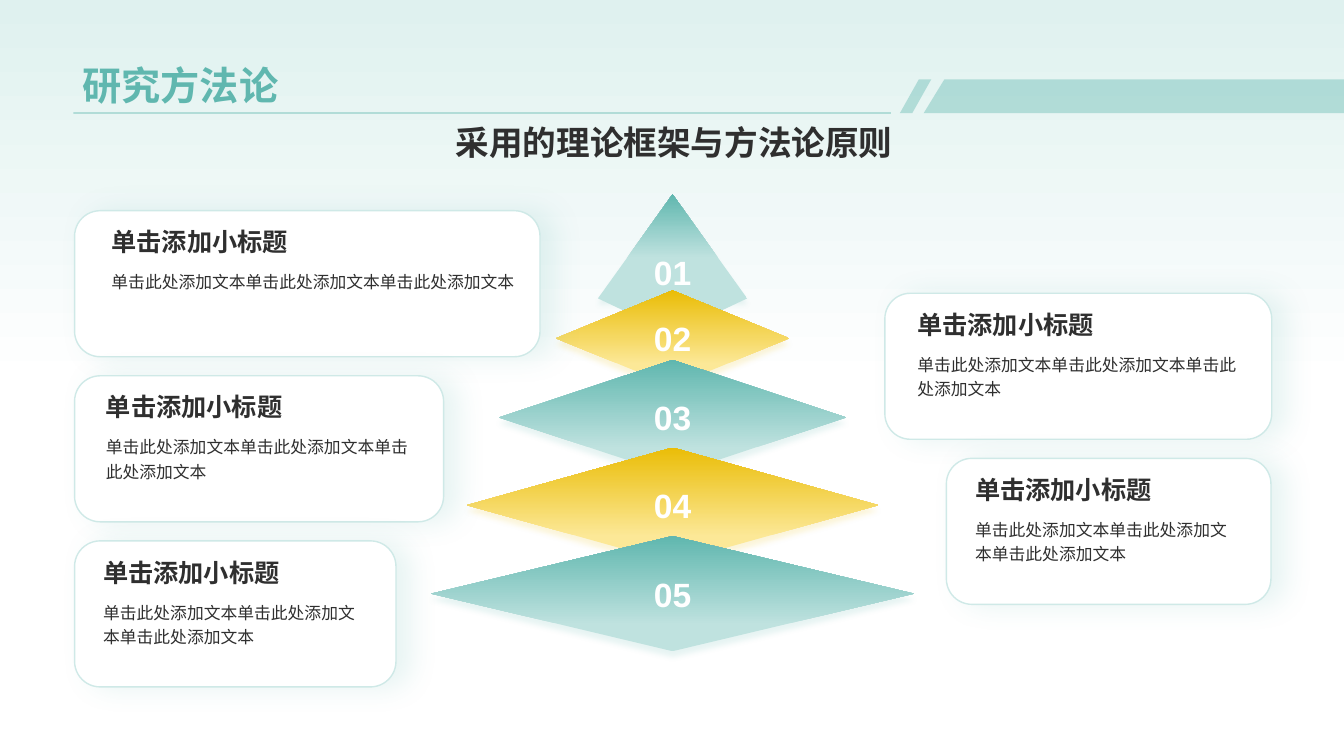
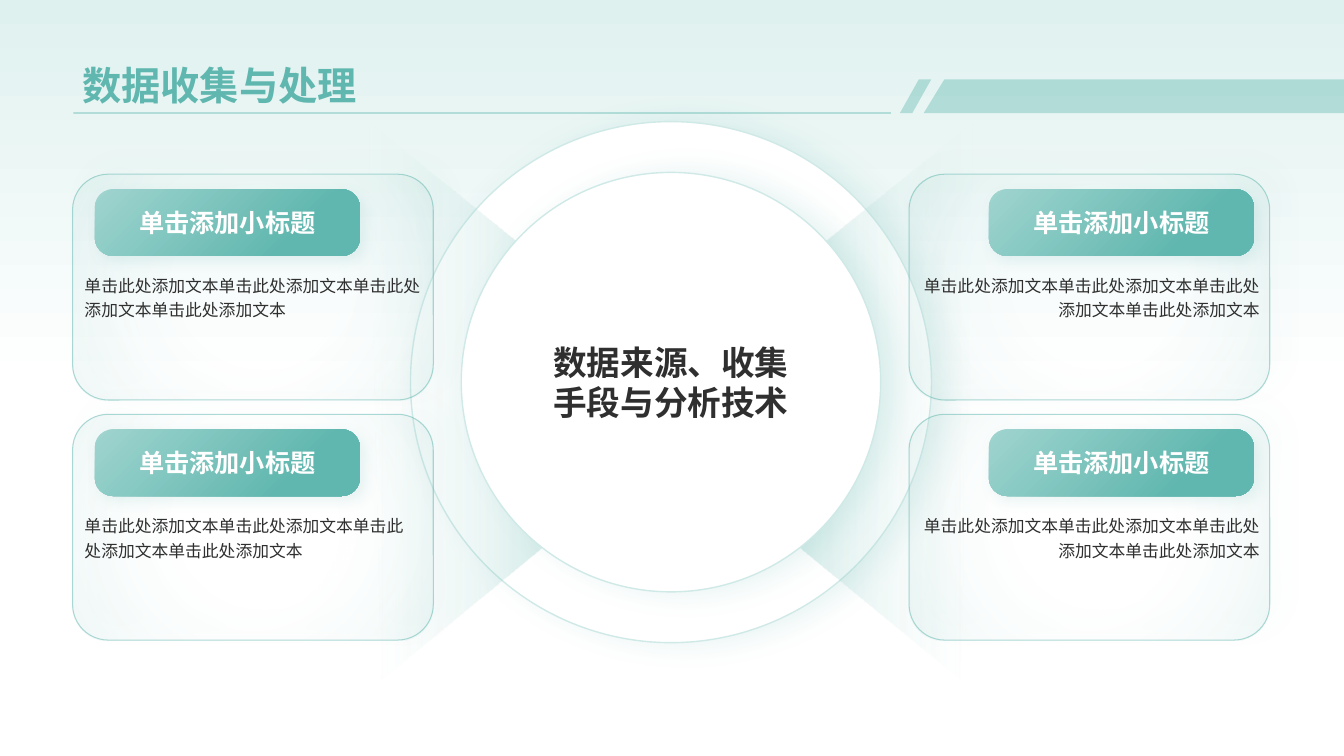
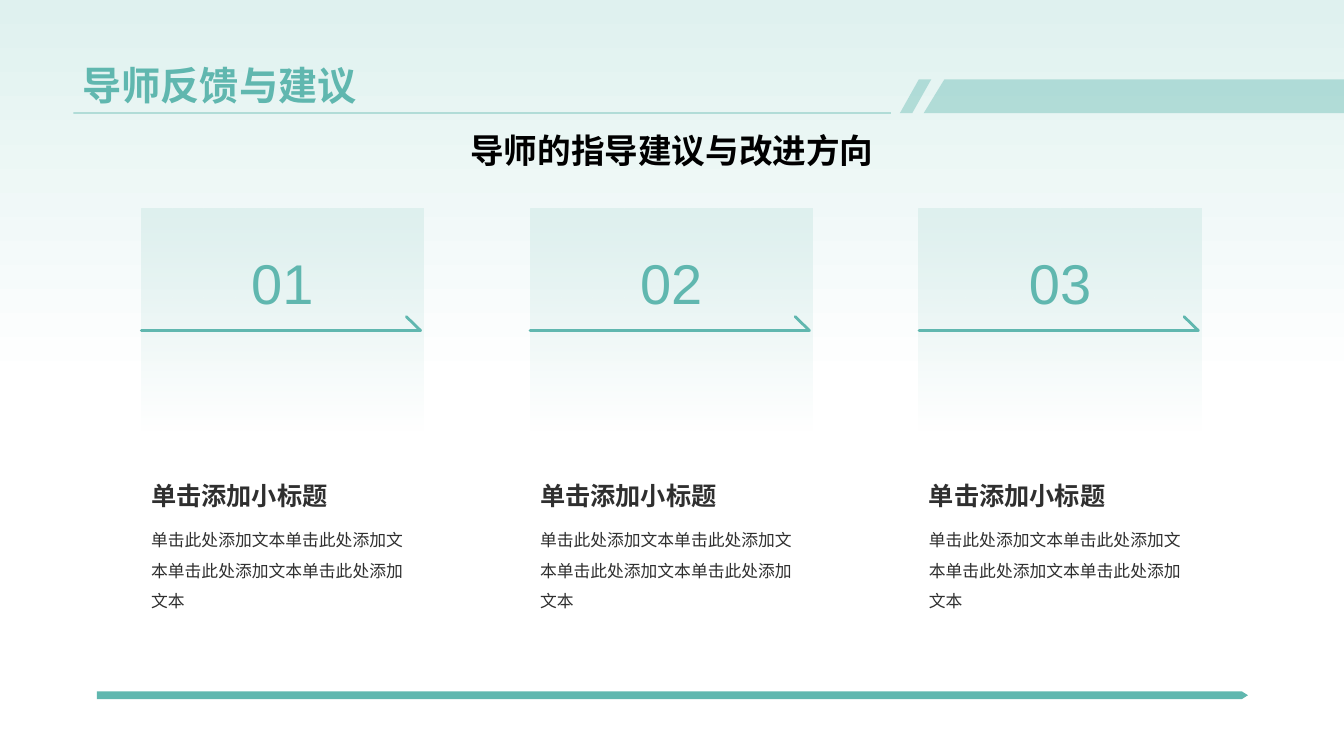
from lxml import etree
from pptx import Presentation
from pptx.dml.color import RGBColor
from pptx.enum.shapes import MSO_CONNECTOR, MSO_SHAPE
from pptx.enum.text import MSO_ANCHOR, PP_ALIGN
from pptx.oxml.ns import qn
from pptx.util import Cm, Pt

TEAL = RGBColor(0x60, 0xB7, 0xAF)
SOFT = RGBColor(0xA0, 0xD4, 0xCF)
PALE = RGBColor(0xBF, 0xE2, 0xDF)
EDGE = RGBColor(0xCF, 0xE9, 0xE7)
MIST = RGBColor(0xDF, 0xF1, 0xEF)
GOLD = RGBColor(0xEA, 0xBD, 0x07)
CREAM = RGBColor(0xFC, 0xE8, 0x97)
INK = RGBColor(0x2F, 0x2F, 0x2F)
BLACK = RGBColor(0, 0, 0)
WHITE = RGBColor(255, 255, 255)

RECT, ROUND = MSO_SHAPE.RECTANGLE, MSO_SHAPE.ROUNDED_RECTANGLE
DIAMOND, PEAK = MSO_SHAPE.DIAMOND, MSO_SHAPE.ISOSCELES_TRIANGLE
SLANT, PLATE = MSO_SHAPE.PARALLELOGRAM, MSO_SHAPE.PENTAGON
STRAIGHT = MSO_CONNECTOR.STRAIGHT
LEFT, MID, RIGHT = PP_ALIGN.LEFT, PP_ALIGN.CENTER, PP_ALIGN.RIGHT
TOP, CENTER, BASE = MSO_ANCHOR.TOP, MSO_ANCHOR.MIDDLE, MSO_ANCHOR.BOTTOM

WIDE, HIGH = 33.87, 19.05
HEAD = "单击添加小标题"
LINE = "单击此处添加文本"
GLOW = (TEAL, 20, 10, 0)


def tint(host, color, alpha=100):
    node = etree.SubElement(host, qn("a:srgbClr"), val=str(color))
    if alpha < 100:
        etree.SubElement(node, qn("a:alpha"), val=str(alpha * 1000))


def fade(host, alpha):
    node = host.find(".//" + qn("a:srgbClr"))
    etree.SubElement(node, qn("a:alpha"), val=str(alpha * 1000))


def blend(fill, host, stops, angle=None):
    fill.gradient()
    grad = host.find(".//" + qn("a:gradFill"))
    for child in list(grad):
        grad.remove(child)
    ramp = etree.SubElement(grad, qn("a:gsLst"))
    for pos, *color in stops:
        tint(etree.SubElement(ramp, qn("a:gs"), pos=str(pos * 1000)), *color)
    if angle is None:
        ring = etree.SubElement(grad, qn("a:path"), path="circle")
        sides = {side: "50000" for side in "ltrb"}
        etree.SubElement(ring, qn("a:fillToRect"), **sides)
    else:
        etree.SubElement(grad, qn("a:lin"), ang=str(angle * 60000), scaled="0")


def write(shape, text, size=12, color=INK, bold=False, align=LEFT,
          anchor=TOP, lead=None):
    frame = shape.text_frame
    frame.word_wrap = True
    frame.vertical_anchor = anchor
    para = frame.paragraphs[0]
    para.alignment = align
    if lead:
        para.line_spacing = lead
    run = para.add_run()
    run.text = text
    font = run.font
    font.name, font.size, font.bold = "Arial", Pt(size), bold
    font.color.rgb = color


class Deck:
    def __init__(self):
        self.file = Presentation()
        self.file.slide_width, self.file.slide_height = Cm(WIDE), Cm(HIGH)
        self.slide = None

    def start(self, title):
        self.slide = self.file.slides.add_slide(self.file.slide_layouts[6])
        blend(self.slide.background.fill, self.slide.element,
              [(0, MIST), (51, WHITE)], 90)
        self.path_of([(23.8, 2), (WIDE, 2), (WIDE, 2.85), (23.28, 2.85)],
                     fill=TEAL, alpha=40)
        self.shape(SLANT, 22.68, 2, 0.79, 0.85, fill=TEAL, alpha=40, adj=0.605)
        self.rule(1.85, 22.45, 2.85)
        self.text(title, 1.83, 0.36, 30.18, 2.49, size=28, color=TEAL,
                  bold=True, anchor=BASE)

    def paint(self, shape, fill=None, alpha=100, stops=None, angle=None,
              line=None, weight=1, clear=100, shade=None):
        shape.shadow.inherit = False
        props = shape.element.spPr
        if stops:
            blend(shape.fill, props, stops, angle)
        elif fill is None:
            shape.fill.background()
        else:
            shape.fill.solid()
            shape.fill.fore_color.rgb = fill
            if alpha < 100:
                fade(props.find(qn("a:solidFill")), alpha)
        if line is None:
            shape.line.fill.background()
        else:
            shape.line.color.rgb = line
            shape.line.width = Pt(weight)
            if clear < 100:
                fade(props.find(qn("a:ln")), clear)
        if shade:
            color, blur, dist, turn = shade
            node = etree.SubElement(
                props.find(qn("a:effectLst")), qn("a:outerShdw"),
                blurRad=str(Pt(blur)), dist=str(Pt(dist)),
                dir=str(turn * 60000), algn="ctr", rotWithShape="0")
            tint(node, color, 15)
        return shape

    def shape(self, kind, x, y, w, h, adj=None, **look):
        shape = self.slide.shapes.add_shape(kind, Cm(x), Cm(y), Cm(w), Cm(h))
        if adj is not None:
            shape.adjustments[0] = adj
        return self.paint(shape, **look)

    def path_of(self, points, close=True, **look):
        first, *rest = [(Cm(x), Cm(y)) for x, y in points]
        pen = self.slide.shapes.build_freeform(*first)
        pen.add_line_segments(rest, close=close)
        return self.paint(pen.convert_to_shape(), **look)

    def rule(self, x, end, y):
        rule = self.slide.shapes.add_connector(
            STRAIGHT, Cm(x), Cm(y), Cm(end), Cm(y))
        rule.line.color.rgb = TEAL
        rule.line.width = Pt(1.25)
        props = rule.element.spPr
        fade(props.find(qn("a:ln")), 40)
        etree.SubElement(props, qn("a:effectLst"))

    def text(self, text, x, y, w, h, **form):
        box = self.slide.shapes.add_textbox(Cm(x), Cm(y), Cm(w), Cm(h))
        write(box, text, **form)

    def disc(self, x, y, size):
        self.shape(ROUND, x - size / 2, y - size / 2, size, size, adj=0.5,
                   fill=WHITE, line=EDGE, shade=GLOW)

    def card(self, x, y, w, share):
        self.shape(ROUND, x, y, w, 3.68, adj=0.175, fill=WHITE, line=EDGE,
                   shade=GLOW)
        inner = x + 0.058 * w
        self.text(LINE * 3, inner, y + 1.32, share * w, 1.63, lead=1.2)
        self.text(HEAD, inner, y + 0.15, 0.88 * w, 1.14, size=18, bold=True,
                  anchor=BASE)

    def panel(self, x, y, inset, width, align):
        self.shape(ROUND, x, y, 9.09, 5.69, adj=0.158,
                   stops=[(40, MIST, 0), (97, SOFT, 15)], line=TEAL,
                   weight=0.75, clear=50, shade=(TEAL, 16, 12, 321))
        label = self.shape(ROUND, x + inset, y + 0.38, 6.68, 1.68, adj=0.272,
                           stops=[(0, SOFT), (75, TEAL)], angle=45,
                           shade=(TEAL, 10, 5, 45))
        write(label, HEAD, size=18, color=WHITE, bold=True, align=MID,
              anchor=CENTER)
        self.text(LINE * 4, x + 0.05, y + 2.34, width, 3.2, align=align,
                  lead=1.2)

    def step(self, x, mark):
        self.shape(RECT, x, 5.26, 7.11, 5.59,
                   stops=[(0, MIST), (100, MIST, 0)], angle=90)
        arrow = self.path_of([(x, 8.33), (x + 7.04, 8.33), (x + 6.68, 7.98)],
                             close=False, line=TEAL, weight=2)
        arrow.element.spPr.find(qn("a:ln")).set("cap", "rnd")
        self.text(mark, x + 0.29, 6.12, 6.53, 1.96, size=40, color=TEAL,
                  align=MID, anchor=CENTER)
        self.text(HEAD, x, 11.02, 7.11, 1.96, size=18, bold=True, anchor=BASE)
        self.text(LINE * 4, x, 12.98, 7.11, 4.06, lead=1.5)


def method(deck):
    deck.start("研究方法论")
    deck.text("采用的理论框架与方法论原则", 1.9, 2.49, 30.18, 2.18, size=24,
              bold=True, align=MID, anchor=CENTER)
    mid = 16.95
    form = dict(size=24, color=WHITE, bold=True, align=MID)
    deck.shape(PEAK, mid - 1.88, 4.9, 3.76, 2.62, angle=270,
               stops=[(21, PALE), (39, PALE), (100, TEAL)],
               shade=(TEAL, 4, 4, 90))
    deck.shape(DIAMOND, mid - 1.88, 6.63, 3.76, 1.78, fill=PALE)
    deck.text("01", mid - 1.27, 6.22, 2.54, 1.27, **form)
    tiers = [(7.32, 5.88, 2.41), (9.07, 8.75, 2.9),
             (11.28, 10.37, 2.9), (13.51, 12.17, 2.9)]
    for i, (y, w, h) in enumerate(tiers):
        light, dark = (PALE, TEAL) if i % 2 else (CREAM, GOLD)
        tier = deck.shape(DIAMOND, mid - w / 2, y, w, h, angle=270,
                          stops=[(23, light), (100, dark)],
                          shade=(dark, 4, 4, 90))
        write(tier, f"{i + 2:02}", anchor=CENTER, **form)
    cards = [(1.88, 11.73, 0.925), (22.3, 9.75, 0.883), (1.88, 9.3, 0.883),
             (23.85, 8.18, 0.883), (1.88, 8.1, 0.883)]
    for i, (x, w, share) in enumerate(cards):
        deck.card(x, 5.31 + 2.08 * i, w, share)


def data(deck):
    deck.start("数据收集与处理")
    x, y = 16.91, 9.63
    deck.disc(x, y, 13.13)
    fan = [(7.62, 3.07), (0.38, 8.94), (0.38, 11.43), (7.29, 17.12)]
    for side, angle in ((1, 0), (-1, 180)):
        deck.path_of([(x + side * dx, py) for dx, py in fan], angle=angle,
                     stops=[(25, TEAL, 37), (100, MIST, 0)])
    deck.disc(x, y, 10.57)
    deck.text("数据来源、收集手段与分析技术", x - 3.4, y - 3.4, 6.8, 6.8,
              size=24, bold=True, align=MID, anchor=CENTER)
    for top, width in ((4.39, 9.04), (10.44, 8.69)):
        deck.panel(1.83, top, 0.56, width, LEFT)
        deck.panel(22.91, top, 2.01, 9.04, RIGHT)


def advice(deck):
    deck.start("导师反馈与建议")
    deck.shape(PLATE, 2.44, 17.42, 29.01, 0.2, adj=0.789, fill=TEAL)
    deck.text("导师的指导建议与改进方向", 0, 3.15, WIDE, 1.27, size=24,
              color=BLACK, bold=True, align=MID)
    for i in range(3):
        deck.step(3.56 + 9.8 * i, f"{i + 1:02}")


def main():
    deck = Deck()
    for build in (method, data, advice):
        build(deck)
    deck.file.save("out.pptx")


if __name__ == "__main__":
    main()
